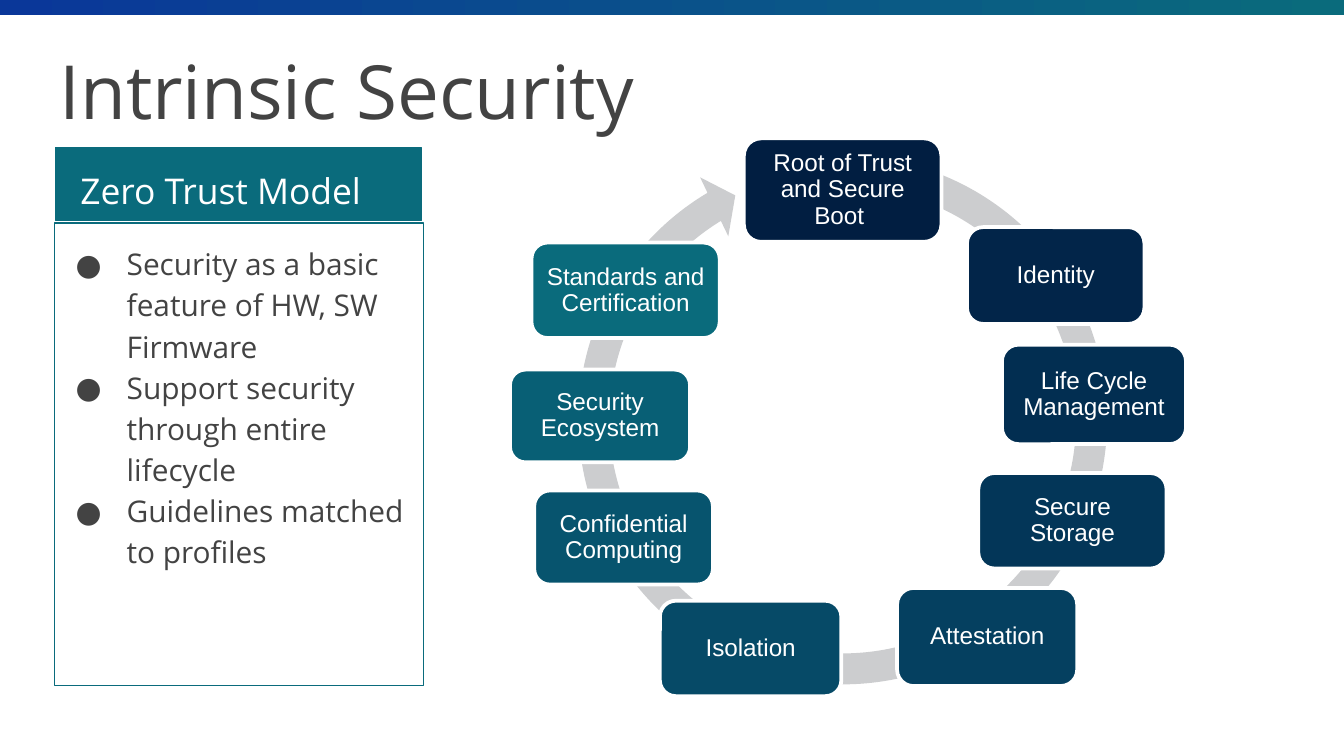
from lxml import etree
from pptx import Presentation
from pptx.dml.color import RGBColor as Rgb
from pptx.enum.shapes import MSO_SHAPE as Geo
from pptx.enum.text import MSO_ANCHOR as Anchor, PP_ALIGN as Align
from pptx.oxml.ns import qn
from pptx.util import Pt

PX = 4572  # EMU per px, 200 px to the inch

HUES = {
    "blue": "0A3799", "teal": "0A6B7C", "ink": "434343",
    "white": "FFFFFF", "ring": "CCCDCF",
}

# Cycle steps, clockwise: label, box, fill
STEPS = [
    ("Root of Trust and Secure Boot ", (1107, 206, 294, 154), "011E41"),
    ("Identity", (1439, 338, 264, 144), "022549"),
    ("Life Cycle Management", (1491, 513, 274, 148), "022E51"),
    ("Secure Storage", (1456, 704, 280, 142), "033658"),
    ("Attestation", (1335, 875, 268, 146), "054060"),
    ("Isolation", (982, 894, 270, 142), "064A67"),
    ("Confidential Computing", (795, 730, 266, 140), "07546E"),
    ("Security Ecosystem", (759, 550, 268, 138), "085F75"),
    ("Standards and Certification", (791, 361, 280, 142), HUES["teal"]),
]

POINTS = [
    "Security as a basic feature of HW, SW Firmware",
    "Support security through entire lifecycle",
    "Guidelines matched to profiles",
]


def write(frame, *lines, size=16, face="Open Sans", hue="ink", pad=20,
          align=Align.LEFT, anchor=Anchor.TOP, lead=None, dot=None):
    frame.word_wrap = True
    frame.vertical_anchor = anchor
    frame.margin_left = frame.margin_right = pad * PX
    frame.margin_top = frame.margin_bottom = pad * PX
    for i, line in enumerate(lines):
        para = frame.add_paragraph() if i else frame.paragraphs[0]
        para.alignment = align
        if lead:
            para.line_spacing = lead
        if dot:
            props = para._p.get_or_add_pPr()
            props.set("marL", str(100 * PX))
            props.set("indent", str(-76 * PX))
            tint = etree.SubElement(props, qn("a:buClr"))
            etree.SubElement(tint, qn("a:srgbClr"), val=HUES[hue])
            etree.SubElement(props, qn("a:buFont"), typeface=face)
            etree.SubElement(props, qn("a:buChar"), char=dot)
        run = para.add_run()
        run.text = line
        run.font.size = Pt(size)
        run.font.name = face
        run.font.color.rgb = Rgb.from_string(HUES[hue])


class Deck:
    def __init__(self, wide, high):
        self.prs = Presentation()
        self.prs.slide_width = wide * PX
        self.prs.slide_height = high * PX
        self.slide = self.prs.slides.add_slide(self.prs.slide_layouts[6])

    def shape(self, geo, box, fill=None, line=None, width=0.75):
        item = self.slide.shapes.add_shape(geo, *(n * PX for n in box))
        item.shadow.inherit = False
        if fill:
            item.fill.solid()
            item.fill.fore_color.rgb = Rgb.from_string(fill)
        else:
            item.fill.background()
        if line:
            item.line.color.rgb = Rgb.from_string(line)
            item.line.width = Pt(width)
        else:
            item.line.fill.background()
        return item

    def band(self, box, *hues):
        item = self.shape(Geo.RECTANGLE, box)
        item.fill.gradient()
        item.fill.gradient_angle = 0
        for stop, hue in zip(item.fill.gradient_stops, hues):
            stop.color.rgb = Rgb.from_string(hue)

    def text(self, box, *lines, **style):
        item = self.slide.shapes.add_textbox(*(n * PX for n in box))
        write(item.text_frame, *lines, **style)

    def ring(self, box, *turns):
        item = self.shape(Geo.CIRCULAR_ARROW, box, HUES["ring"])
        for i, turn in enumerate(turns):
            item.adjustments[i] = turn

    def step(self, label, box, fill):
        item = self.shape(Geo.ROUNDED_RECTANGLE, box, fill, HUES["white"], 2)
        write(item.text_frame, label, size=13, face="Arial", hue="white",
              pad=10, align=Align.CENTER, anchor=Anchor.MIDDLE, lead=0.9)


def main():
    deck = Deck(2000, 1125)
    teal = HUES["teal"]

    # Top band and title
    deck.band((0, 0, 2000, 22), HUES["blue"], teal)
    deck.text((69, 47, 1864, 164), "Intrinsic Security", size=40)

    # Left panel
    deck.shape(Geo.RECTANGLE, (81, 332, 549, 688), line=teal)
    deck.shape(Geo.RECTANGLE, (83, 220, 544, 108), teal, teal)
    deck.text((100, 232, 574, 86), "Zero Trust Model", size=19, hue="white")
    deck.text((69, 338, 560, 682), *POINTS, lead=1.15, dot="●")

    # Security cycle; angles in units of 5/3 degree
    deck.ring((835, 206, 838, 838), 0.055, 3.31, 143.35, 170.54, 0.058)
    for step in STEPS:
        deck.step(*step)

    deck.prs.save("out.pptx")


if __name__ == "__main__":
    main()
